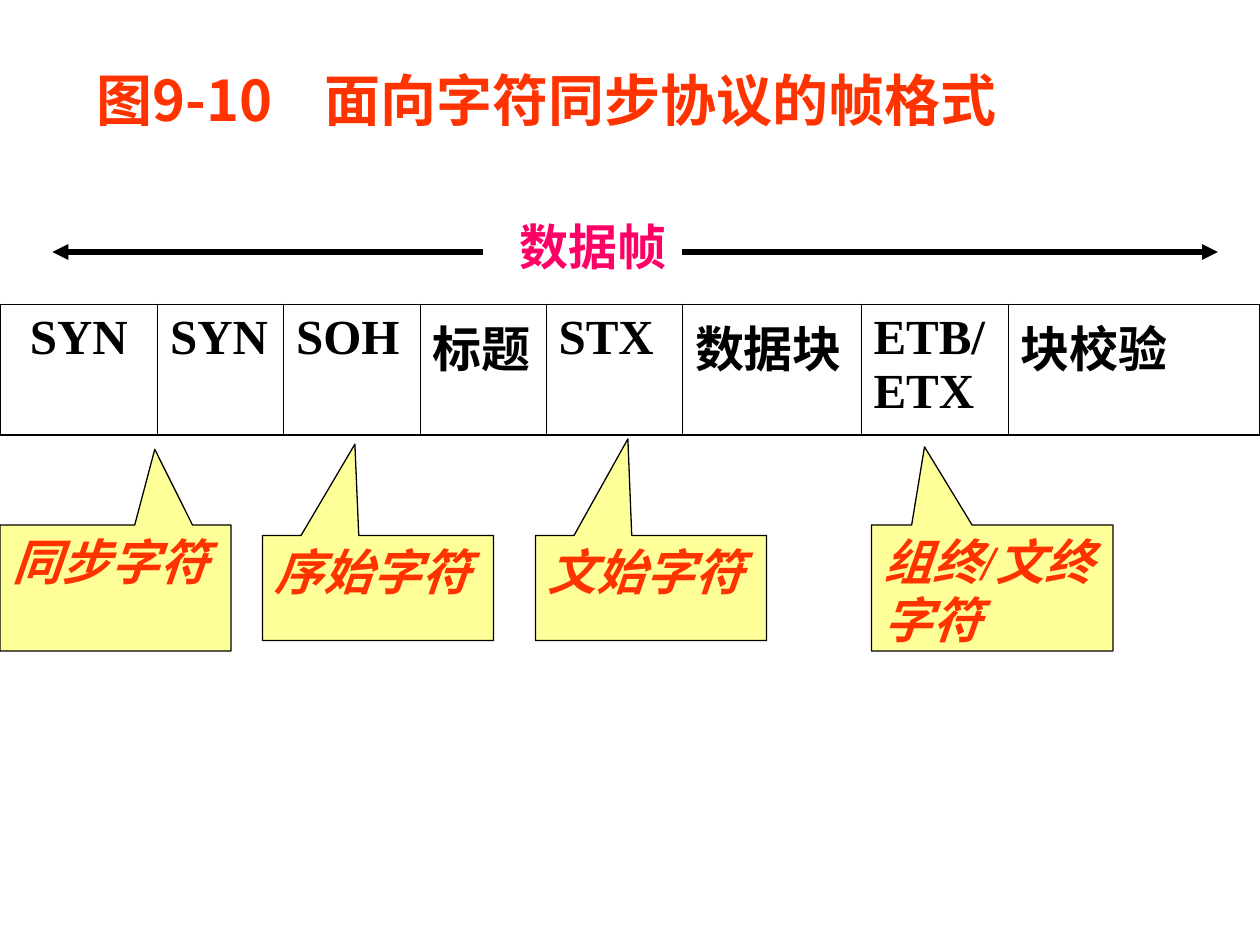
from dataclasses import dataclass

from lxml import etree
from pptx import Presentation
from pptx import util as u
from pptx.dml.color import RGBColor
from pptx.enum import shapes, text
from pptx.oxml import ns

COLS, ROWS = 120, 90
WIDTH, HEIGHT = u.Inches(10), u.Inches(7.5)
LATIN, CJK = "Times New Roman", "Noto Sans CJK SC"
BLACK = RGBColor(0x00, 0x00, 0x00)
ORANGE = RGBColor(0xFF, 0x33, 0x00)
PINK = RGBColor(0xFF, 0x00, 0x66)
YELLOW = RGBColor(0xFF, 0xFF, 0x99)


@dataclass(frozen=True)
class Box:
    col: float
    row: float
    cols: float
    rows: float

    def emu(self) -> tuple[int, int, int, int]:
        return x(self.col), y(self.row), x(self.cols), y(self.rows)


@dataclass(frozen=True)
class Field:
    name: str
    cols: int
    align: text.PP_ALIGN = text.PP_ALIGN.LEFT


@dataclass(frozen=True)
class Callout:
    label: str
    box: Box
    tip: tuple[float, float]


@dataclass(frozen=True)
class Arrow:
    start: int
    end: int
    row: int


FIELDS = [
    Field("SYN", 15, text.PP_ALIGN.CENTER),
    Field("SYN", 12),
    Field("SOH", 13),
    Field("标题", 12),
    Field("STX", 13),
    Field("数据块", 17),
    Field("ETB/ETX", 14),
    Field("块校验", 24),
]
CALLOUTS = [
    Callout("同步字符", Box(0, 50, 22, 12), (0.17, -1.1)),
    Callout("序始字符", Box(25, 51, 22, 10), (-0.1, -1.37)),
    Callout("文始字符", Box(51, 51, 22, 10), (-0.1, -1.42)),
    Callout("组终/文终字符", Box(83, 50, 23, 12), (-0.28, -1.12)),
]
ARROWS = [Arrow(46, 5, 24), Arrow(65, 116, 24)]


def x(col: float) -> int:
    return round(WIDTH * col / COLS)


def y(row: float) -> int:
    return round(HEIGHT * row / ROWS)


def write(tf, words: str, color: RGBColor, size: int = 28, latin: str = LATIN,
          align=text.PP_ALIGN.LEFT, italic: bool = False) -> None:
    tf.word_wrap = True
    p = tf.paragraphs[0]
    p.text = words
    p.alignment = align
    for r in p.runs:
        f = r.font
        f.name, f.size, f.bold, f.italic = latin, u.Pt(size), True, italic
        f.color.rgb = color
        ea = etree.SubElement(r._r.get_or_add_rPr(), ns.qn("a:ea"))
        ea.set("typeface", CJK)


def add_text(sl, words: str, box: Box, color: RGBColor, **style):
    tf = sl.shapes.add_textbox(*box.emu()).text_frame
    write(tf, words, color, **style)
    return tf


def add_title(sl) -> None:
    tf = add_text(sl, "图9-10\t面向字符同步协议的帧格式", Box(8, 4, 96.5, 10.8),
                  ORANGE, size=32, latin=CJK)
    tf.vertical_anchor = text.MSO_ANCHOR.MIDDLE
    tabs = etree.SubElement(tf.paragraphs[0]._p.get_or_add_pPr(), ns.qn("a:tabLst"))
    etree.SubElement(tabs, ns.qn("a:tab"), pos=str(u.Inches(1.81)), algn="l")


def set_border(cell, side: str, width: float) -> None:
    ln = etree.SubElement(cell._tc.get_or_add_tcPr(), ns.qn(f"a:ln{side}"),
                          w=str(u.Pt(width)))
    fill = etree.SubElement(ln, ns.qn("a:solidFill"))
    etree.SubElement(fill, ns.qn("a:srgbClr"), val=str(BLACK))


def add_frame_table(sl, box: Box) -> None:
    tbl = sl.shapes.add_table(1, len(FIELDS), *box.emu()).table
    tbl.first_row = tbl.horz_banding = False
    last = len(FIELDS) - 1
    for i, field in enumerate(FIELDS):
        tbl.columns[i].width = x(field.cols)
        cell = tbl.cell(0, i)
        write(cell.text_frame, field.name, BLACK, align=field.align)
        widths = {"L": 1.08 if i == 0 else 0.45,
                  "R": 1.08 if i == last else 0.45, "T": 1.08, "B": 1.08}
        for side, width in widths.items():
            set_border(cell, side, width)
        cell.fill.background()


def add_callout(sl, callout: Callout) -> None:
    sp = sl.shapes.add_shape(shapes.MSO_SHAPE.RECTANGULAR_CALLOUT, *callout.box.emu())
    sp.shadow.inherit = False
    sp.adjustments[0], sp.adjustments[1] = callout.tip
    sp.fill.solid()
    sp.fill.fore_color.rgb = YELLOW
    sp.line.color.rgb = BLACK
    sp.line.width = u.Pt(0.75)
    sp.text_frame.vertical_anchor = text.MSO_ANCHOR.TOP
    write(sp.text_frame, callout.label, ORANGE, italic=True)


def add_arrow(sl, arrow: Arrow) -> None:
    cx = sl.shapes.add_connector(shapes.MSO_CONNECTOR.STRAIGHT, x(arrow.start),
                                 y(arrow.row), x(arrow.end), y(arrow.row))
    cx.line.color.rgb = BLACK
    cx.line.width = u.Pt(3)
    etree.SubElement(cx.line._get_or_add_ln(), ns.qn("a:tailEnd"), type="triangle")
    etree.SubElement(cx._element.spPr, ns.qn("a:effectLst"))


def main() -> None:
    prs = Presentation()
    prs.slide_width, prs.slide_height = WIDTH, HEIGHT
    sl = prs.slides.add_slide(prs.slide_layouts[6])
    add_title(sl)
    add_frame_table(sl, Box(0, 29, COLS, 12.4))
    for callout in CALLOUTS:
        add_callout(sl, callout)
    add_text(sl, "数据帧", Box(36, 20, 41, 8), PINK, align=text.PP_ALIGN.CENTER)
    for arrow in ARROWS:
        add_arrow(sl, arrow)
    prs.save("out.pptx")


if __name__ == "__main__":
    main()
